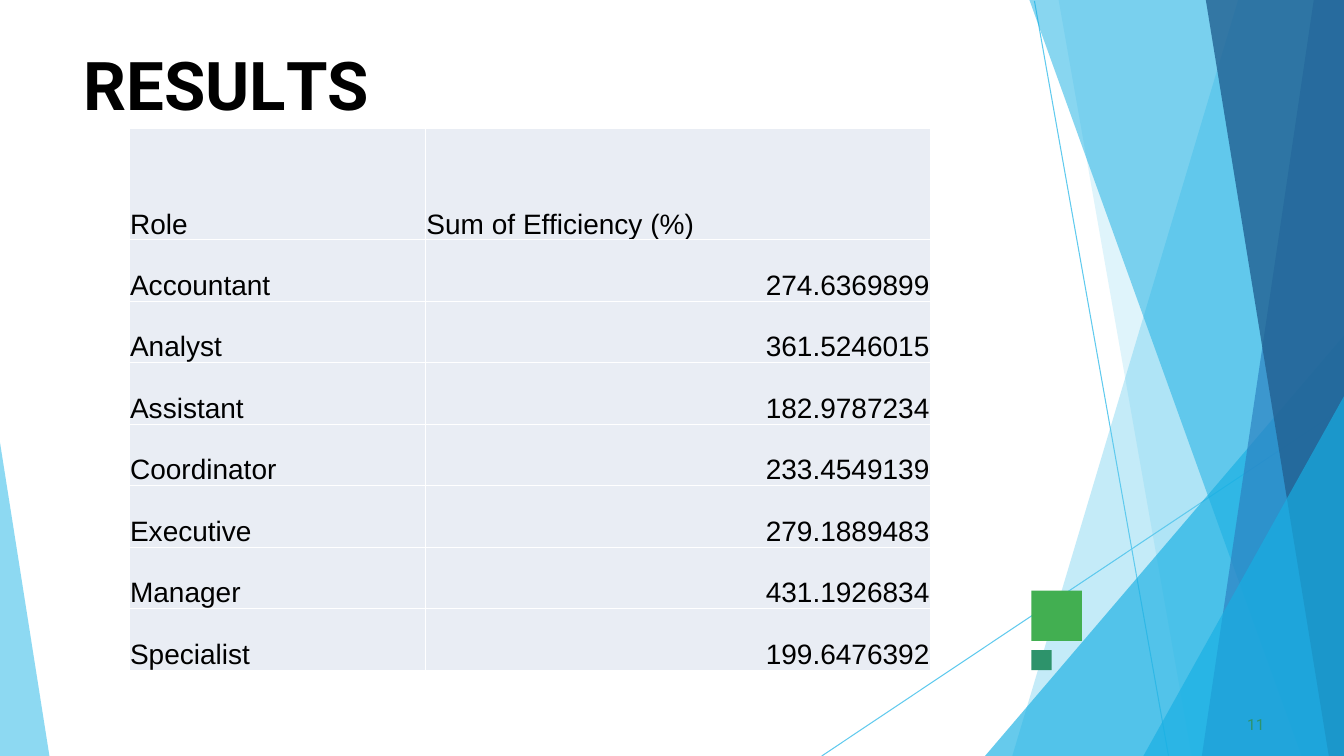
from typing import NamedTuple

from lxml.etree import SubElement
from pptx import Presentation
from pptx.dml.color import RGBColor
from pptx.enum.shapes import MSO_CONNECTOR as Connector, MSO_SHAPE as Preset
from pptx.enum.text import MSO_ANCHOR as Anchor, MSO_AUTO_SIZE as AutoSize, PP_ALIGN as Align
from pptx.oxml.ns import qn
from pptx.util import Emu, Pt

PX = 9144  # EMU in one px, 100 px to the inch
WIDTH, HEIGHT = 1333, 750
COLOURS = {
    "sky": "5FCAEE", "cyan": "17AFE3", "blue": "2D83C3", "navy": "226192",
    "green": "42AF51", "teal": "2D936B", "cell": "E9EDF4",
    "black": "000000", "white": "FFFFFF",
}


class Ray(NamedTuple):
    start: tuple[int, int]
    end: tuple[int, int]


class Facet(NamedTuple):
    colour: str
    opacity: int
    points: list[tuple[int, int]]


class Square(NamedTuple):
    colour: str
    left: int
    top: int
    side: int


def right_band(colour: str, opacity: int, top_left: int, bottom_left: int) -> Facet:
    """A full-height band reaching the right edge of the slide."""
    return Facet(colour, opacity, [(WIDTH, 0), (top_left, 0), (bottom_left, HEIGHT), (WIDTH, HEIGHT)])


def right_corner(colour: str, opacity: int, top: int, left: int) -> Facet:
    """A triangle in the bottom right corner."""
    return Facet(colour, opacity, [(WIDTH, top), (left, HEIGHT), (WIDTH, HEIGHT)])


RAYS = [Ray((1026, 1), (1159, HEIGHT)), Ray((WIDTH, 404), (815, HEIGHT))]
FACETS = [
    right_band("sky", 37, 1228, 1004),
    right_band("sky", 20, 1050, 1182),
    right_corner("cyan", 66, 333, 977),
    right_band("cyan", 51, 1021, 1291),
    right_band("blue", 71, 1303, 1192),
    right_band("navy", 80, 1196, 1318),
    right_corner("cyan", 66, 393, 1134),
    Facet("sky", 71, [(0, 439), (0, HEIGHT), (49, HEIGHT)]),
]
SQUARES = [Square("green", 1023, 586, 50), Square("teal", 1023, 645, 20)]
TITLE_RUNS = [("RESU", 0), ("L", -410), ("TS", 0)]  # text, letter spacing in 1/100 pt
COLUMN_WIDTHS = [294, 501]
HEADER_HEIGHT, ROW_HEIGHT = 111, 61
EFFICIENCY = [
    ("Role", "Sum of Efficiency (%)"),
    ("Accountant", "274.6369899"),
    ("Analyst", "361.5246015"),
    ("Assistant", "182.9787234"),
    ("Coordinator", "233.4549139"),
    ("Executive", "279.1889483"),
    ("Manager", "431.1926834"),
    ("Specialist", "199.6476392"),
]


def px(*lengths: int) -> list[Emu]:
    return [Emu(length * PX) for length in lengths]


def rgb(name: str) -> RGBColor:
    return RGBColor.from_string(COLOURS[name])


def apply(target, values: dict) -> None:
    for name, value in values.items():
        setattr(target, name, value)


def style_span(span, font: str, size: int, colour: str, bold: bool = False) -> None:
    apply(span.font, {"name": font, "size": Pt(size), "bold": bold})
    span.font.color.rgb = rgb(colour)


def paint(shape, colour: str, opacity: int = 100) -> None:
    shape.shadow.inherit = False
    shape.line.fill.background()
    shape.fill.solid()
    shape.fill.fore_color.rgb = rgb(colour)
    if opacity < 100:
        fill_colour = shape.fill._xPr.find(qn("a:solidFill"))[0]
        SubElement(fill_colour, qn("a:alpha"), val=str(opacity * 1000))


def draw_ray(page, ray: Ray) -> None:
    line = page.shapes.add_connector(Connector.STRAIGHT, *px(*ray.start, *ray.end))
    line.line.color.rgb = rgb("sky")
    line.line.width = Pt(0.75)
    SubElement(line._element.spPr, qn("a:effectLst"))


def draw_facet(page, facet: Facet) -> None:
    first, *rest = facet.points
    builder = page.shapes.build_freeform(*first, scale=PX)
    builder.add_line_segments(rest, close=True)
    paint(builder.convert_to_shape(), facet.colour, facet.opacity)


def draw_square(page, square: Square) -> None:
    shape = page.shapes.add_shape(
        Preset.RECTANGLE, *px(square.left, square.top, square.side, square.side))
    paint(shape, square.colour)


def set_frame(frame, wrap: bool) -> None:
    apply(frame, {
        "margin_left": 0, "margin_right": 0, "margin_top": Emu(PX), "margin_bottom": 0,
        "vertical_anchor": Anchor.TOP, "auto_size": AutoSize.NONE, "word_wrap": wrap,
    })


def draw_title(page) -> None:
    title = page.shapes.title
    apply(title, dict(zip(("left", "top", "width", "height"), px(83, 42, 311, 81))))
    set_frame(title.text_frame, wrap=False)
    para = title.text_frame.paragraphs[0]
    apply(para, {"alignment": Align.LEFT, "space_before": Pt(1.1)})
    for text, spacing in TITLE_RUNS:
        span = para.add_run()
        span.text = text
        style_span(span, "Roboto", 48, "black", bold=True)
        span.font._element.set("spc", str(spacing))


def draw_page_number(page) -> None:
    box = page.shapes.add_textbox(*px(1233, 708, 25, 19))
    set_frame(box.text_frame, wrap=True)
    box.text_frame.margin_left = Emu(4 * PX)
    para = box.text_frame.paragraphs[0]
    span = para.add_run()
    span.text = "11"
    style_span(span, "Roboto", 11, "teal")


def add_borders(cell) -> None:
    properties = cell._tc.get_or_add_tcPr()
    for position, side in enumerate(("lnL", "lnR", "lnT", "lnB")):
        border = properties.makeelement(qn(f"a:{side}"), {"w": str(Pt(1))})
        properties.insert(position, border)
        fill = SubElement(border, qn("a:solidFill"))
        SubElement(fill, qn("a:srgbClr"), val=COLOURS["white"])


def draw_table(page) -> None:
    body_rows = len(EFFICIENCY) - 1
    height = HEADER_HEIGHT + body_rows * ROW_HEIGHT
    frame = page.shapes.add_table(
        len(EFFICIENCY), len(COLUMN_WIDTHS), *px(128, 127, sum(COLUMN_WIDTHS), height))
    table = frame.table
    apply(table, {"horz_banding": False, "first_row": True})
    for column, width in zip(table.columns, px(*COLUMN_WIDTHS)):
        column.width = width
    for row, row_height in zip(table.rows, px(HEADER_HEIGHT, *[ROW_HEIGHT] * body_rows)):
        row.height = row_height
    for i, record in enumerate(EFFICIENCY):
        for j, text in enumerate(record):
            cell = table.cell(i, j)
            apply(cell, {
                "margin_left": Emu(PX), "margin_right": Emu(PX), "margin_top": Emu(PX),
                "margin_bottom": 0, "vertical_anchor": Anchor.BOTTOM,
            })
            cell.fill.solid()
            cell.fill.fore_color.rgb = rgb("cell")
            add_borders(cell)
            para = cell.text_frame.paragraphs[0]
            para.alignment = Align.RIGHT if i and j else Align.LEFT
            span = para.add_run()
            span.text = text
            style_span(span, "Arial", 20, "black")


def main() -> None:
    deck = Presentation()
    deck.slide_width, deck.slide_height = px(WIDTH, HEIGHT)
    page = deck.slides.add_slide(deck.slide_layouts.get_by_name("Title Only"))

    # Background decoration
    for ray in RAYS:
        draw_ray(page, ray)
    for facet in FACETS:
        draw_facet(page, facet)
    for square in SQUARES:
        draw_square(page, square)

    # Content
    draw_title(page)
    draw_page_number(page)
    draw_table(page)
    deck.save("out.pptx")


if __name__ == "__main__":
    main()
